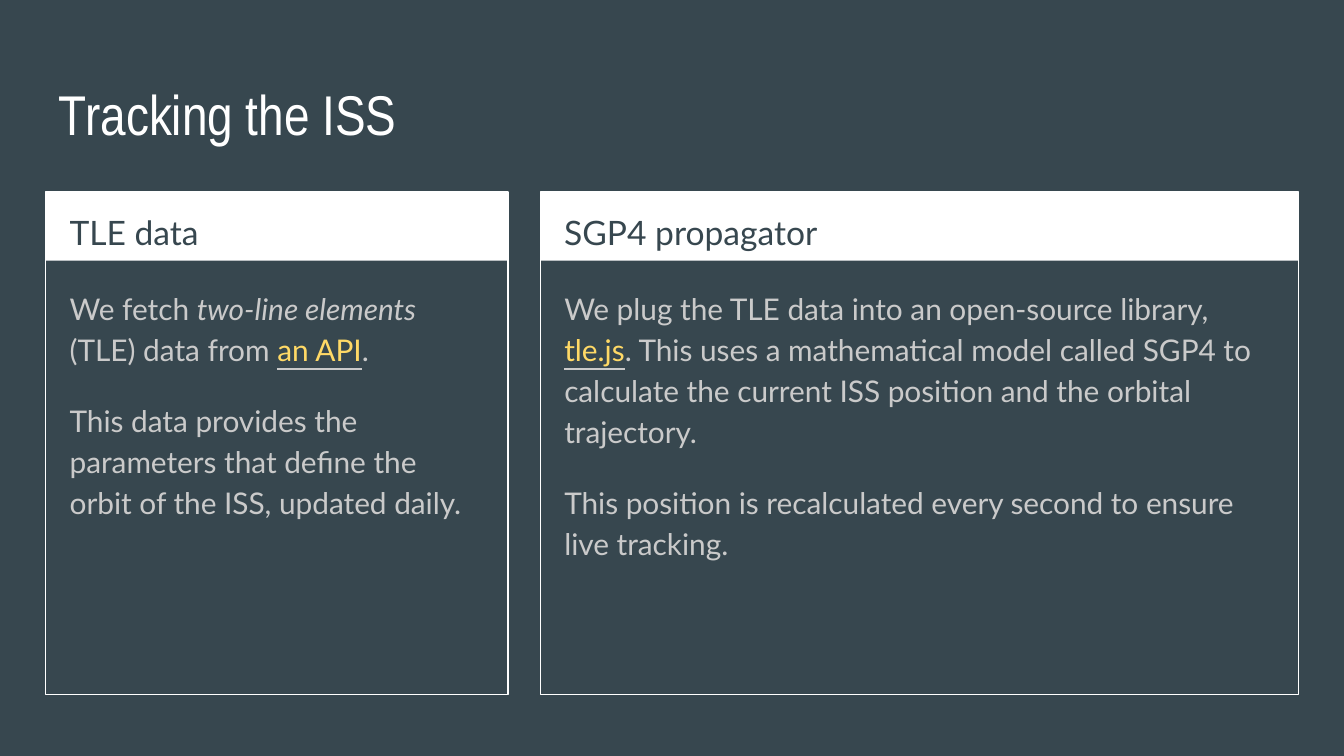
import pptx
import pptx.dml.color
import pptx.enum.shapes
import pptx.enum.text
import pptx.util
import lxml.etree
from pptx.util import Inches

SLATE, WHITE, GREY, YELLOW = "37474F", "FFFFFF", "CACACA", "FFD966"
PLAIN, ITALIC, LINK = "plain", "italic", "link"
BODY_FONT = "Lato"


def color(hex_code):
    return pptx.dml.color.RGBColor.from_string(hex_code)


def format_span(span, font, size, hex_code):
    span.font.name = font
    span.font.size = pptx.util.Pt(size)
    span.font.color.rgb = color(hex_code)


def underline(span, hex_code):
    """Underline a run in a colour of its own."""
    span.font.underline = True
    props = span.font._element
    fill = props.find(pptx.oxml.ns.qn("a:solidFill"))
    under_fill = lxml.etree.Element(pptx.oxml.ns.qn("a:uFill"))
    solid = lxml.etree.SubElement(under_fill, pptx.oxml.ns.qn("a:solidFill"))
    lxml.etree.SubElement(solid, pptx.oxml.ns.qn("a:srgbClr"), val=hex_code)
    fill.addnext(under_fill)


def add_text_box(page, left, top, width, height):
    box = page.shapes.add_textbox(Inches(left), Inches(top), Inches(width), Inches(height))
    frame = box.text_frame
    frame.word_wrap = True
    frame.vertical_anchor = pptx.enum.text.MSO_ANCHOR.TOP
    frame.margin_left = frame.margin_right = Inches(0.1)
    frame.margin_top = frame.margin_bottom = Inches(0.1)
    return frame


def add_line_of_text(page, text, font, size, hex_code, box, spacing=1.0):
    para = add_text_box(page, *box).paragraphs[0]
    para.text = text
    para.line_spacing = spacing
    format_span(para.runs[0], font, size, hex_code)


def add_rectangle(page, left, top, width, height, fill=None, line=None):
    rectangle = page.shapes.add_shape(
        pptx.enum.shapes.MSO_SHAPE.RECTANGLE,
        Inches(left), Inches(top), Inches(width), Inches(height))
    rectangle.shadow.inherit = False
    if fill:
        rectangle.fill.solid()
        rectangle.fill.fore_color.rgb = color(fill)
    else:
        rectangle.fill.background()
    if line:
        rectangle.line.color.rgb = color(line)
        rectangle.line.width = pptx.util.Pt(0.75)
    else:
        rectangle.line.fill.background()


def add_card(page, left, top, width, height, heading, paragraphs):
    # Outline and header band
    add_rectangle(page, left, top, width, height, line=WHITE)
    add_rectangle(page, left, top, width, 0.51, fill=WHITE)
    add_line_of_text(page, heading, BODY_FONT, 18, SLATE,
                     (left + 0.08, top, 2.73, 0.5), spacing=1.15)

    # Body paragraphs
    frame = add_text_box(page, left + 0.08, top + 0.59, width - 0.19, height - 0.68)
    for index, pieces in enumerate(paragraphs):
        para = frame.add_paragraph() if index else frame.paragraphs[0]
        para.line_spacing = 1.15
        if index:
            para.space_before = para.space_after = pptx.util.Pt(16)
        for text, style in pieces:
            span = para.add_run()
            span.text = text
            format_span(span, BODY_FONT, 16, YELLOW if style == LINK else GREY)
            if style == ITALIC:
                span.font.italic = True
            if style == LINK:
                underline(span, GREY)


CARDS = [
    (0.34, 3.44, "TLE data", [
        [("We fetch ", PLAIN), ("two-line elements ", ITALIC),
         ("(TLE) data from ", PLAIN), ("an API", LINK), (".", PLAIN)],
        [("This data provides the parameters that define the orbit of the ISS, "
          "updated daily.", PLAIN)],
    ]),
    (4.02, 5.64, "SGP4 propagator", [
        [("We plug the TLE data into an open-source library, ", PLAIN), ("tle.js", LINK),
         (". This uses a mathematical model called SGP4 to calculate the current "
          "ISS position and the orbital trajectory.", PLAIN)],
        [("This position is recalculated every second to ensure live tracking.", PLAIN)],
    ]),
]


def main():
    deck = pptx.Presentation()
    # Widescreen, 16 to 9
    deck.slide_width = Inches(10)
    deck.slide_height = Inches(10 * 9 / 16)
    page = deck.slides.add_slide(deck.slide_layouts[6])
    page.background.fill.solid()
    page.background.fill.fore_color.rgb = color(SLATE)

    # Title
    add_line_of_text(page, "Tracking the ISS", "Arial Narrow", 30, WHITE,
                     (0.34, 0.49, 9.32, 0.63))

    # Two cards side by side
    for left, width, heading, paragraphs in CARDS:
        add_card(page, left, 1.43, width, 3.74, heading, paragraphs)

    deck.save("out.pptx")


if __name__ == "__main__":
    main()
